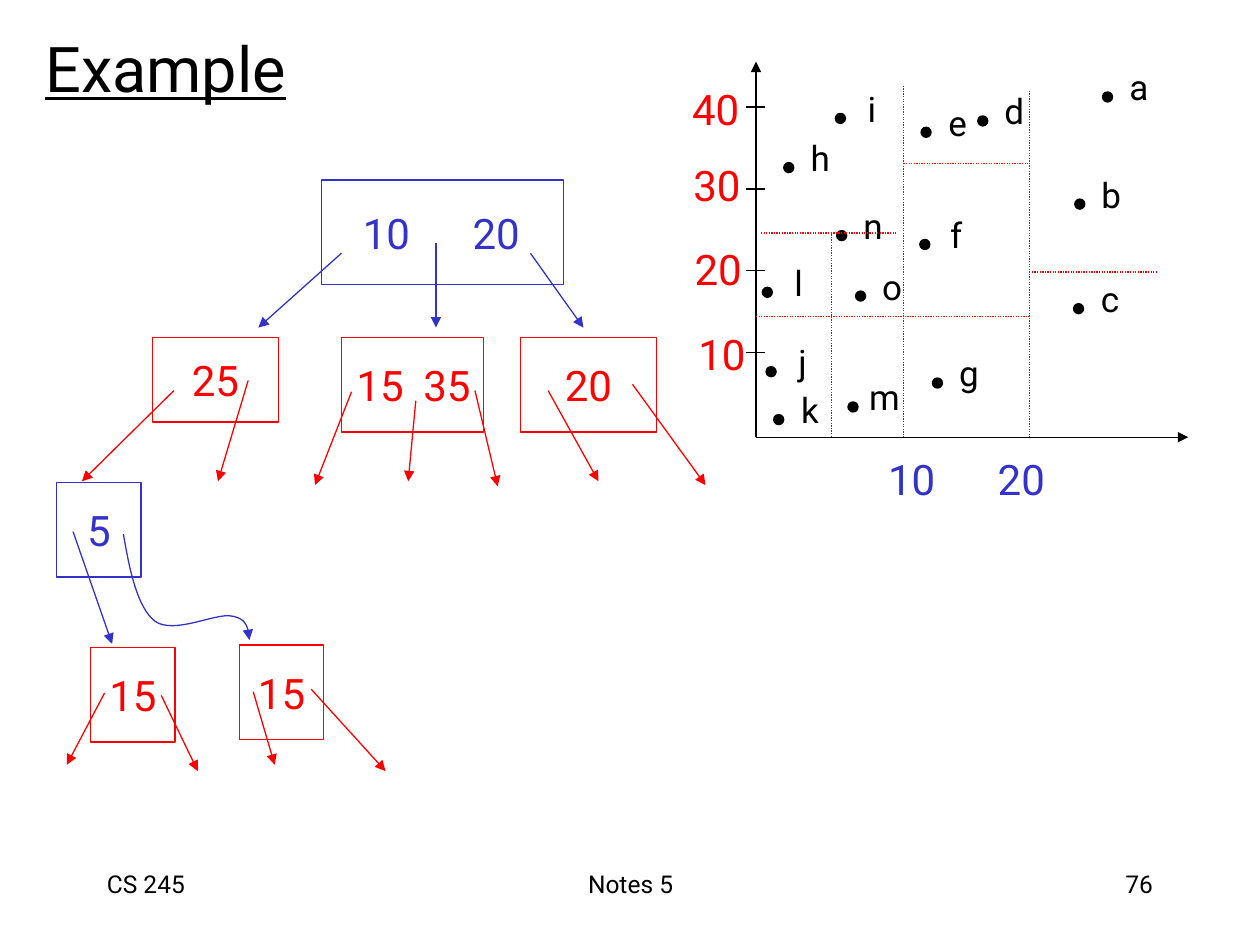
"""Build the slide that pairs a two-attribute search tree with its partitioned plane."""
from dataclasses import dataclass

from lxml.etree import SubElement
from pptx import Presentation
from pptx.dml.color import RGBColor as RGB
from pptx.enum.dml import MSO_LINE as Dash
from pptx.enum.shapes import MSO_CONNECTOR as Connector, MSO_SHAPE as Preset
from pptx.enum.text import MSO_ANCHOR as Anchor, PP_ALIGN as Align
from pptx.oxml.ns import qn
from pptx.util import Cm, Pt


@dataclass(frozen=True)
class Theme:
    font: str = "Roboto"
    ink: RGB = RGB(0, 0, 0)
    paper: RGB = RGB(255, 255, 255)
    blue: RGB = RGB(0x33, 0x33, 0xCC)
    red: RGB = RGB(255, 0, 0)
    title: Pt = Pt(36)
    key: Pt = Pt(24)
    point: Pt = Pt(20)
    footer: Pt = Pt(14)
    stroke: Pt = Pt(0.75)


theme = Theme()
UNIT = 2.54


def add_label(text, box, size, color, align=Align.CENTER, framed=False, tab=None):
    area = [Cm(UNIT * length) for length in box]
    if framed:
        label = slide.shapes.add_shape(Preset.RECTANGLE, *area)
        label.shadow.inherit = False
        label.fill.solid()
        label.fill.fore_color.rgb = theme.paper
        label.line.color.rgb = color
        label.line.width = theme.stroke
    else:
        label = slide.shapes.add_textbox(*area)
    frame = label.text_frame
    frame.text = text
    frame.word_wrap = tab is not None
    frame.vertical_anchor = Anchor.MIDDLE
    paragraph = frame.paragraphs[0]
    paragraph.alignment = align
    if tab:
        indent, step = tab
        frame.margin_left = Cm(UNIT * indent)
        stops = SubElement(paragraph._p.get_or_add_pPr(), qn("a:tabLst"))
        SubElement(stops, qn("a:tab"), pos=str(Cm(UNIT * step)), algn="l")
    for run in paragraph.runs:
        run.font.name, run.font.size, run.font.color.rgb = theme.font, size, color


def add_line(ends, color, arrow=False, dotted=False):
    line = slide.shapes.add_connector(
        Connector.STRAIGHT, *[Cm(UNIT * length) for length in ends])
    line.line.color.rgb = color
    line.line.width = theme.stroke
    if dotted:
        line.line.dash_style = Dash.ROUND_DOT
    if arrow:
        SubElement(line.line._get_or_add_ln(), qn("a:tailEnd"), type="triangle")
    SubElement(line._element.spPr, qn("a:effectLst"))


deck = Presentation()
deck.slide_width, deck.slide_height = Cm(25.4), Cm(19.05)
slide = deck.slides.add_slide(deck.slide_layouts[5])

heading = slide.shapes.title
heading.left, heading.top = Cm(0.66), Cm(0.48)
heading.width, heading.height = Cm(6.22), Cm(1.75)
heading.text_frame.text = "Example"
heading.text_frame.vertical_anchor = Anchor.MIDDLE
heading_line = heading.text_frame.paragraphs[0]
heading_line.alignment = Align.LEFT
heading_font = heading_line.runs[0].font
heading_font.name, heading_font.size = theme.font, theme.title
heading_font.color.rgb = theme.ink
heading_font.underline = True

for text, left, width, align in [
    ("CS 245", 0.75, 2.08, Align.LEFT),
    ("Notes 5", 3.42, 3.17, Align.CENTER),
    ("76", 7.17, 2.08, Align.RIGHT),
]:
    add_label(text, (left, 6.76, width, 0.5), theme.footer, theme.ink, align)

for axis in [(6, 3.47, 6, 0.49), (6, 3.47, 9.43, 3.47)]:
    add_line(axis, theme.ink, arrow=True)
for row, (text, left, top) in enumerate(
        [("40", 5.39, 0.61), ("30", 5.4, 1.22), ("20", 5.41, 1.88), ("10", 5.44, 2.56)]):
    tick = 0.85 + 0.65 * row
    add_line((5.92, tick, 6.07, tick), theme.ink)
    add_label(text, (left, top, 0.58, 0.5), theme.key, theme.red)
add_label("10\t20", (6.95, 3.55, 1.48, 0.5), theme.key, theme.blue,
          Align.LEFT, tab=(0.1, 0.87))

DOT = 0.08
for name, left, top in [
    ("a", 8.75, 0.73), ("b", 8.53, 1.58), ("c", 8.52, 2.41), ("d", 7.76, 0.92),
    ("e", 7.31, 1.01), ("f", 7.3, 1.9), ("g", 7.4, 3), ("h", 6.22, 1.29),
    ("i", 6.63, 0.9), ("j", 6.08, 2.91), ("k", 6.14, 3.29), ("l", 6.05, 2.28),
    ("m", 6.73, 3.19), ("n", 6.64, 1.83), ("o", 6.79, 2.31),
]:
    point = slide.shapes.add_shape(
        Preset.OVAL, *[Cm(UNIT * length) for length in (left, top, DOT, DOT)])
    point.shadow.inherit = False
    point.fill.solid()
    point.fill.fore_color.rgb = theme.ink
    point.line.color.rgb = theme.ink
    point.line.width = theme.stroke
    add_label(name, (left + 0.06, top - 0.26, 0.46, 0.44), theme.point, theme.ink)

for x, top in [(7.17, 0.68), (8.17, 0.72), (6.6, 1.86)]:
    add_line((x, top, x, 3.47), theme.blue, dotted=True)
for left, right, y in [(6, 7.17, 2.51), (7.18, 8.18, 2.51), (8.19, 9.19, 2.16),
                       (6.04, 7.12, 1.85), (7.17, 8.17, 1.3)]:
    add_line((left, y, right, y), theme.red, dotted=True)

for keys, box, color, tab in [
    ("10\t20", (2.55, 1.43, 1.92, 0.83), theme.blue, (0.33, 0.87)),
    ("25", (1.21, 2.68, 1, 0.67), theme.red, None),
    ("15\t35", (2.71, 2.68, 1.13, 0.75), theme.red, (0.12, 0.53)),
    ("20", (4.13, 2.68, 1.08, 0.75), theme.red, None),
    ("5", (0.45, 3.83, 0.67, 0.75), theme.blue, None),
    ("15", (0.72, 5.14, 0.67, 0.75), theme.red, None),
    ("15", (1.9, 5.12, 0.67, 0.75), theme.red, None),
]:
    add_label(keys, box, theme.key, color, Align.LEFT if tab else Align.CENTER,
              framed=True, tab=tab)

branches = {
    theme.blue: [
        (2.71, 2.01, 2.05, 2.6), (3.46, 1.93, 3.46, 2.6), (4.21, 2.01, 4.63, 2.6),
        (0.58, 4.22, 0.89, 5.11),
    ],
    theme.red: [
        (1.38, 3.1, 0.65, 3.82), (1.97, 3.02, 1.73, 3.82),
        (2.79, 3.11, 2.5, 3.85), (3.3, 3.18, 3.24, 3.82), (3.77, 3.1, 3.95, 3.86),
        (4.35, 3.1, 4.75, 3.82), (5.02, 3.05, 5.6, 3.85),
        (0.83, 5.5, 0.53, 6.07), (1.28, 5.52, 1.57, 6.12),
        (2.01, 5.49, 2.18, 6.07), (2.47, 5.47, 3.06, 6.12),
    ],
}
for color, pointers in branches.items():
    for pointer in pointers:
        add_line(pointer, color, arrow=True)

bends = [(0.98, 4.24), (1.03, 4.53), (1.09, 4.82), (1.23, 4.93), (1.38, 5.04),
         (1.72, 4.86), (1.84, 4.89), (1.97, 4.91), (1.97, 5), (1.98, 5.08)]
STEPS = 16
trail = []
for first in range(0, len(bends) - 1, 3):
    for step in range(1, STEPS + 1):
        t = step / STEPS
        weights = ((1 - t) ** 3, 3 * t * (1 - t) ** 2, 3 * t ** 2 * (1 - t), t ** 3)
        trail.append([
            Cm(UNIT * sum(w * bend[axis] for w, bend in zip(weights, bends[first:first + 4])))
            for axis in (0, 1)])
outline = slide.shapes.build_freeform(*[Cm(UNIT * length) for length in bends[0]])
outline.add_line_segments(trail, close=False)
curved_pointer = outline.convert_to_shape()
curved_pointer.shadow.inherit = False
curved_pointer.fill.background()
curved_pointer.line.color.rgb = theme.blue
curved_pointer.line.width = theme.stroke
SubElement(curved_pointer.line._get_or_add_ln(), qn("a:tailEnd"), type="triangle")

deck.save("out.pptx")
